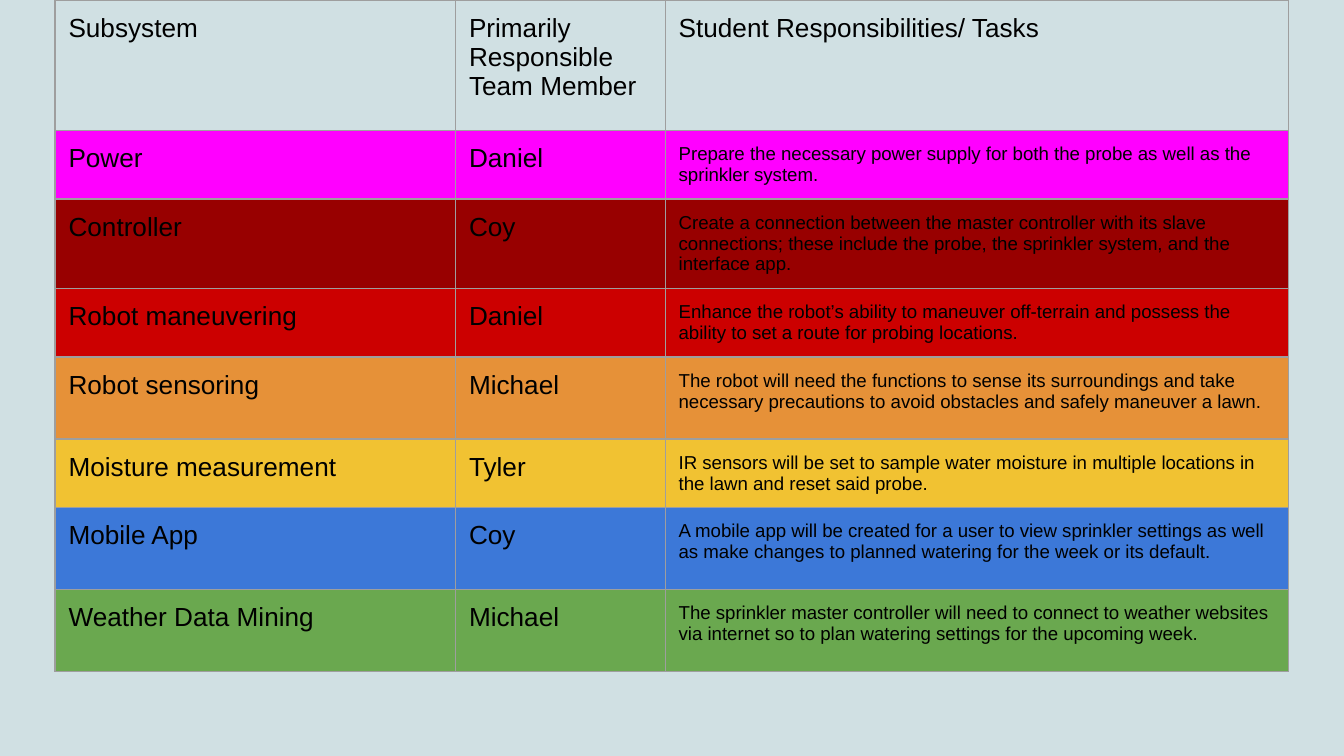
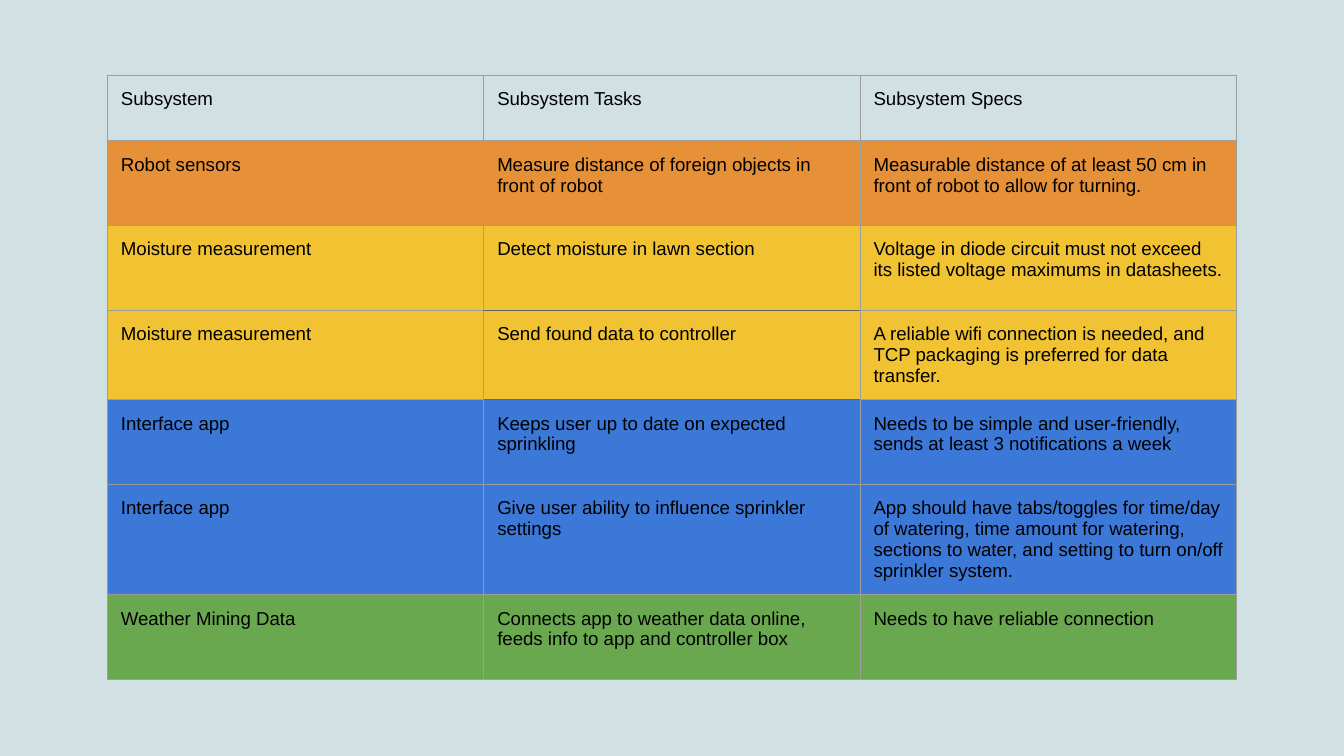
from dataclasses import dataclass

from lxml.etree import SubElement
from pptx import Presentation
from pptx.dml.color import RGBColor
from pptx.enum.text import MSO_ANCHOR, PP_ALIGN
from pptx.oxml.ns import qn
from pptx.util import Inches, Pt


@dataclass(frozen=True)
class Theme:
    font: str = "Arial"
    large: int = 14
    small: int = 10
    border_width: float = 0.75
    text: str = "000000"
    background: str = "D0E0E3"
    border: str = "9E9E9E"
    soft_border: str = "999999"
    dark_border: str = "666666"
    power: str = "FF00FF"
    controller: str = "980000"
    maneuvering: str = "CC0000"
    sensing: str = "E69138"
    moisture: str = "F1C232"
    app: str = "3C78D8"
    weather: str = "6AA84F"


THEME = Theme()
GRID_COLUMNS = 100
PLAIN_TABLE_STYLE = "{2D5ABB26-0587-4C30-8999-92F81FD0307C}"

RESPONSIBILITIES = [
    (None, "Subsystem", "Primarily Responsible Team Member",
     "Student Responsibilities/ Tasks"),
    (THEME.power, "Power", "Daniel",
     "Prepare the necessary power supply for both the probe as well as the "
     "sprinkler system."),
    (THEME.controller, "Controller", "Coy",
     "Create a connection between the master controller with its slave "
     "connections; these include the probe, the sprinkler system, and the "
     "interface app."),
    (THEME.maneuvering, "Robot maneuvering", "Daniel",
     "Enhance the robot’s ability to maneuver off-terrain and possess the "
     "ability to set a route for probing locations."),
    (THEME.sensing, "Robot sensoring", "Michael",
     "The robot will need the functions to sense its surroundings and take "
     "necessary precautions to avoid obstacles and safely maneuver a lawn."),
    (THEME.moisture, "Moisture measurement", "Tyler",
     "IR sensors will be set to sample water moisture in multiple locations "
     "in the lawn and reset said probe."),
    (THEME.app, "Mobile App", "Coy",
     "A mobile app will be created for a user to view sprinkler settings as "
     "well as make changes to planned watering for the week or its default."),
    (THEME.weather, "Weather Data Mining", "Michael",
     "The sprinkler master controller will need to connect to weather "
     "websites via internet so to plan watering settings for the upcoming "
     "week."),
]

SPECS = [
    (None, "Subsystem", "Subsystem Tasks", "Subsystem Specs"),
    (THEME.sensing, "Robot sensors",
     "Measure distance of foreign objects in front of robot",
     "Measurable distance of at least 50 cm in front of robot to allow for "
     "turning."),
    (THEME.moisture, "Moisture measurement",
     "Detect moisture in lawn section",
     "Voltage in diode circuit must not exceed its listed voltage maximums "
     "in datasheets."),
    (THEME.moisture, "Moisture measurement",
     "Send found data to controller",
     "A reliable wifi connection is needed, and TCP packaging is preferred "
     "for data transfer."),
    (THEME.app, "Interface app",
     "Keeps user up to date on expected sprinkling",
     "Needs to be simple and user-friendly, sends at least 3 notifications "
     "a week"),
    (THEME.app, "Interface app",
     "Give user ability to influence sprinkler settings",
     "App should have tabs/toggles for time/day of watering, time amount for "
     "watering, sections to water, and setting to turn on/off sprinkler "
     "system."),
    (THEME.weather, "Weather Mining Data",
     "Connects app to weather data online, feeds info to app and controller "
     "box",
     "Needs to have reliable connection"),
]

# Edges that differ from the common border; neighbours share them.
SPECS_EDGES = {
    (2, 1, "B"): THEME.dark_border,
    (3, 1, "B"): THEME.dark_border,
    **{(row, 0, side): THEME.soft_border for row in (4, 5) for side in "LRB"},
}


class Deck:
    def __init__(self, theme):
        self.theme = theme
        self.presentation = Presentation()
        self.presentation.slide_width = Inches(10)
        self.presentation.slide_height = Inches(5.625)
        self.slide = None

    def grid(self, units):
        """Turn units of the square grid into a slide length."""
        return round(self.presentation.slide_width * units / GRID_COLUMNS)

    def add_slide(self):
        blank = self.presentation.slide_layouts[6]
        self.slide = self.presentation.slides.add_slide(blank)
        fill = self.slide.background.fill
        fill.solid()
        fill.fore_color.rgb = RGBColor.from_string(self.theme.background)

    def add_table(self, left, top, columns, heights, content, size, edges=None):
        """Add a table; size gives the type size for a row and column."""
        edges = edges or {}
        bounds = map(self.grid, (left, top, sum(columns), sum(heights)))
        table = self.slide.shapes.add_table(
            len(heights), len(columns), *bounds).table
        table.first_row = table.horz_banding = False
        table._tbl.tblPr.find(qn("a:tableStyleId")).text = PLAIN_TABLE_STYLE
        for column, width in zip(table.columns, columns):
            column.width = self.grid(width)
        for row, height in zip(table.rows, heights):
            row.height = self.grid(height)
        for r, (color, *texts) in enumerate(content):
            for c, text in enumerate(texts):
                cell = table.cell(r, c)
                self.set_text(cell, text, size(r, c))
                self.draw_borders(cell, r, c, edges)
                self.fill_cell(cell, color)

    def set_text(self, cell, text, size):
        inset = self.grid(1)
        layout = {"margin_left": inset, "margin_right": inset,
                  "margin_top": inset, "margin_bottom": inset,
                  "vertical_anchor": MSO_ANCHOR.TOP}
        for name, value in layout.items():
            setattr(cell, name, value)
        cell.text = text
        paragraph = cell.text_frame.paragraphs[0]
        paragraph.alignment = PP_ALIGN.LEFT
        font = paragraph.runs[0].font
        style = {"name": self.theme.font, "size": Pt(size), "bold": False}
        for name, value in style.items():
            setattr(font, name, value)
        font.color.rgb = RGBColor.from_string(self.theme.text)

    def draw_borders(self, cell, row, column, edges):
        sources = {"L": (row, column - 1, "R"), "R": (row, column, "R"),
                   "T": (row - 1, column, "B"), "B": (row, column, "B")}
        properties = cell._tc.get_or_add_tcPr()
        for side, shared in sources.items():
            own = edges.get((row, column, side), self.theme.border)
            line = SubElement(properties, qn(f"a:ln{side}"),
                              w=str(Pt(self.theme.border_width)))
            fill = SubElement(line, qn("a:solidFill"))
            SubElement(fill, qn("a:srgbClr"), val=edges.get(shared, own))

    def fill_cell(self, cell, color):
        if color is None:
            cell.fill.background()
        else:
            cell.fill.solid()
            cell.fill.fore_color.rgb = RGBColor.from_string(color)


def main():
    deck = Deck(THEME)

    deck.add_slide()
    deck.add_table(
        4.1, 0, [29.8, 15.6, 46.4],
        [9.7, 4.6, 6.1, 4.6, 6.1, 4.6, 6.1, 6.1], RESPONSIBILITIES,
        lambda row, column: THEME.small if row and column == 2 else THEME.large)

    deck.add_slide()
    deck.add_table(
        8, 5.6, [28] * 3, [4.9] + [6.3] * 6, SPECS,
        lambda row, column: THEME.small, SPECS_EDGES)

    deck.presentation.save("out.pptx")


if __name__ == "__main__":
    main()
